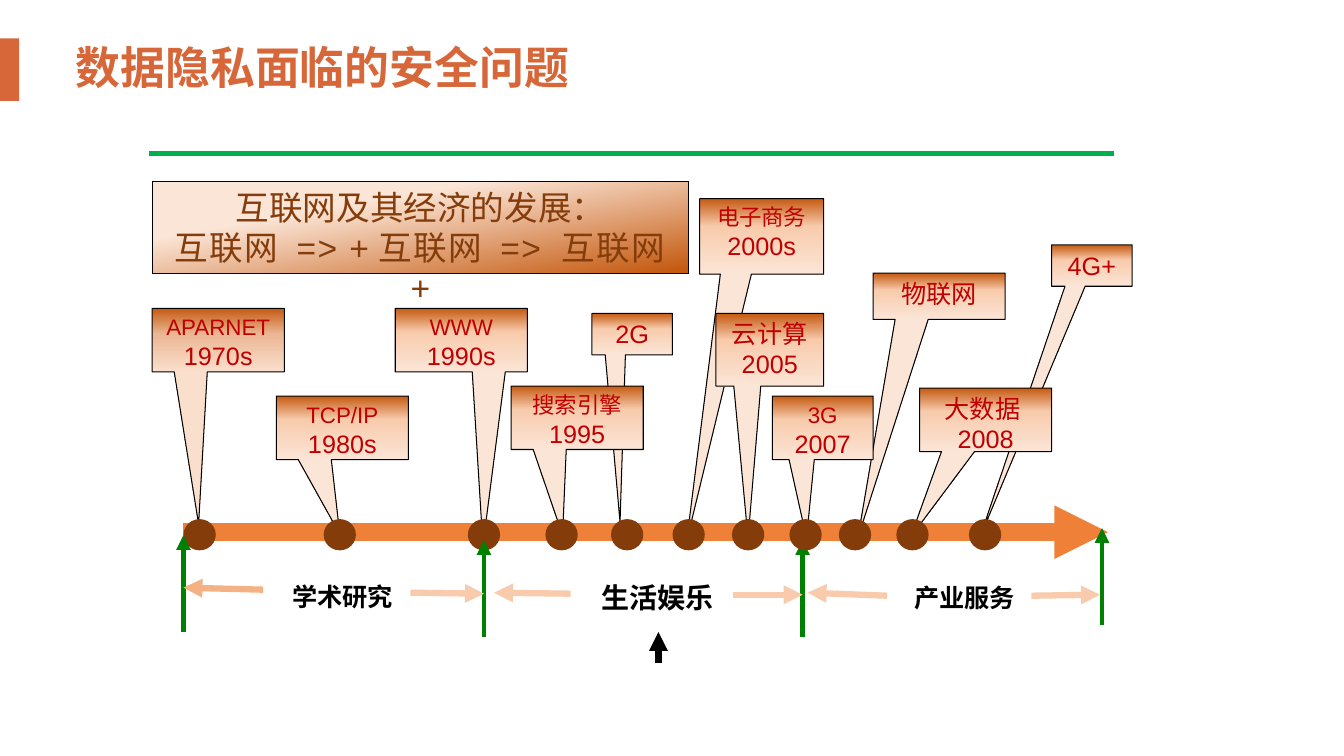
from dataclasses import dataclass

from lxml.etree import SubElement
from pptx import Presentation
from pptx.dml.color import RGBColor
from pptx.enum.shapes import MSO_CONNECTOR, MSO_SHAPE
from pptx.enum.text import MSO_ANCHOR, PP_ALIGN
from pptx.oxml.ns import qn
from pptx.util import Emu, Pt

PX = 9144  # EMU in one px, 100 px to the inch


@dataclass(frozen=True)
class Theme:
    latin: str = "Arial"
    chinese: str = "Noto Sans CJK SC"
    accent: str = "D76739"
    rule: str = "00B050"
    axis: str = "EE8137"
    dot: str = "843C0B"
    boundary: str = "008000"
    span: str = "F8CBAD"
    first_span: str = "F4B183"
    ink: str = "000000"
    callout_ink: str = "C00000"
    callout_fade: tuple = ((0, "C55A11"), (37, "F8CBAD"), (100, "FBE5D6"))
    first_fade: tuple = ((0, "C55A11"), (40, "EAB693"), (100, "FADFCD"))
    banner_fade: tuple = ((0, "FBE5D6"), (31, "FBE5D6"), (98, "C55A11"))
    title: int = 32
    banner: int = 24
    big_label: int = 20
    body: int = 18
    small: int = 16


THEME = Theme()


def px(length):
    return Emu(round(length * PX))


def rgb(value):
    return RGBColor.from_string(value)


def write(frame, lines, *, sizes, color, font, bold=False,
          align=PP_ALIGN.CENTER, wrap=True, tracking=None):
    """Fill a text frame, one paragraph and one size per line."""
    frame.word_wrap = wrap
    frame.vertical_anchor = MSO_ANCHOR.TOP
    for index, (line, size) in enumerate(zip(lines, sizes)):
        paragraph = frame.paragraphs[0] if index == 0 else frame.add_paragraph()
        paragraph.alignment = align
        paragraph.text = line
        for run in paragraph.runs:
            run.font.size = Pt(size)
            run.font.bold = bold
            run.font.name = font
            run.font.color.rgb = rgb(color)
            properties = run.font._element
            SubElement(properties, qn("a:ea"), typeface=THEME.chinese)
            if tracking and index:
                properties.set("spc", str(tracking))


class TimelineSlide:
    def __init__(self, presentation, theme):
        self.theme = theme
        self.shapes = presentation.slides.add_slide(presentation.slide_layouts[6]).shapes

    def block(self, kind, box, color=None):
        shape = self.shapes.add_shape(kind, *map(px, box))
        shape.shadow.inherit = False
        shape.line.fill.background()
        if color:
            shape.fill.solid()
            shape.fill.fore_color.rgb = rgb(color)
        return shape

    def faded_block(self, kind, box, stops, angle, outline):
        """Outlined shape with a gradient; the angle runs clockwise."""
        shape = self.block(kind, box)
        shape.fill.gradient()
        shape.fill.gradient_angle = 360 - angle
        stop_list = shape.element.spPr.find(qn("a:gradFill")).find(qn("a:gsLst"))
        for old_stop in list(stop_list):
            stop_list.remove(old_stop)
        for position, color in stops:
            stop = SubElement(stop_list, qn("a:gs"), pos=str(position * 1000))
            SubElement(stop, qn("a:srgbClr"), val=color)
        shape.line.color.rgb = rgb(self.theme.ink)
        shape.line.width = Pt(outline)
        return shape

    def line(self, start, end, color, width, arrow=True):
        connector = self.shapes.add_connector(
            MSO_CONNECTOR.STRAIGHT, *map(px, (*start, *end)))
        connector.line.color.rgb = rgb(color)
        connector.line.width = Pt(width)
        if arrow:
            SubElement(connector.line._get_or_add_ln(), qn("a:tailEnd"), type="triangle")
        SubElement(connector.element.spPr, qn("a:effectLst"))

    def label(self, box, text, size, color, **options):
        frame = self.shapes.add_textbox(*map(px, box)).text_frame
        write(frame, [text], sizes=[size], color=color,
              font=self.theme.chinese, bold=True, **options)

    def banner(self, box, lines):
        shape = self.faded_block(MSO_SHAPE.RECTANGLE, box, self.theme.banner_fade, 80, 0.5)
        write(shape.text_frame, lines, sizes=[self.theme.banner] * len(lines),
              color=self.theme.dot, font=self.theme.latin, tracking=100)

    def milestone(self, box, tip, dot_left, lines, sizes, fade):
        """Callout whose pointer ends at tip, with its dot on the axis."""
        left, top, width, height = box
        callout = self.faded_block(MSO_SHAPE.RECTANGULAR_CALLOUT, box, fade, 90, 0.75)
        callout.adjustments[0] = (tip[0] - left) / width - 0.5
        callout.adjustments[1] = (tip[1] - top) / height - 0.5
        write(callout.text_frame, lines, sizes=sizes,
              color=self.theme.callout_ink, font=self.theme.latin)
        self.block(MSO_SHAPE.OVAL, (dot_left, 515, 32, 31), self.theme.dot)


SMALL_TOP = (THEME.small, THEME.body)
EVEN = (THEME.body, THEME.body)

# callout box, pointer tip, left of dot, lines, sizes
MILESTONES = (
    ((151, 306, 131, 63), (197, 520), 182, ("APARNET", "1970s"), SMALL_TOP),
    ((274, 393, 131, 63), (337, 530), 321, ("TCP/IP", "1980s"), SMALL_TOP),
    ((392, 306, 131, 63), (479, 541), 464, ("WWW", "1990s"), SMALL_TOP),
    ((587, 311, 80, 41), (615, 518), 606, ("2G",), EVEN),
    ((694, 197, 123, 75), (681, 537), 667, ("电子商务", "2000s"), SMALL_TOP),
    ((866, 271, 131, 46), (851, 533), 832, ("物联网",), EVEN),
    ((766, 393, 100, 63), (800, 534), 783, ("3G", "2007"), SMALL_TOP),
    ((1043, 243, 80, 41), (972, 533), 961, ("4G+",), EVEN),
    ((912, 385, 131, 63), (903, 533), 889, ("大数据2008",), EVEN),
    ((710, 311, 107, 72), (742, 534), 726, ("云计算", "2005"), EVEN),
    ((507, 383, 131, 63), (558, 531), 541, ("搜索引擎", "1995"), SMALL_TOP),
)

# bottom and top of the arrows that part the eras
BOUNDARIES = ((182, 627, 531), (480, 632, 536), (796, 632, 536), (1093, 620, 524))

# label box, name, size, left arrow, right arrow, colour of left arrow
ERAS = (
    ((280, 572, 122, 40), "学术研究", THEME.body,
     ((261, 585), (182, 583)), ((407, 588), (480, 589)), THEME.first_span),
    ((587, 571, 133, 44), "生活娱乐", THEME.big_label,
     ((566, 589), (490, 588)), ((727, 590), (796, 590)), THEME.span),
    ((897, 573, 122, 40), "产业服务", THEME.body,
     ((880, 591), (801, 588)), ((1023, 591), (1091, 590)), THEME.span),
)


def main():
    presentation = Presentation()
    presentation.slide_width, presentation.slide_height = px(1333), px(750)
    slide = TimelineSlide(presentation, THEME)

    slide.block(MSO_SHAPE.RECTANGLE, (0, 38, 19, 62), THEME.accent)
    slide.label((2, 34, 636, 64), "数据隐私面临的安全问题", THEME.title, THEME.accent)
    slide.line((148, 152), (1105, 152), THEME.rule, 3.5, arrow=False)
    slide.line((182, 528), (1099, 528), THEME.axis, 12.75)
    slide.banner((151, 180, 532, 91),
                 ("互联网及其经济的发展：", "互联网 => +互联网 => 互联网\v+"))

    for index, milestone in enumerate(MILESTONES):
        if index == 3:
            for x, bottom, top in BOUNDARIES:
                slide.line((x, bottom), (x, top), THEME.boundary, 3.5)
        fade = THEME.callout_fade if index else THEME.first_fade
        slide.milestone(*milestone, fade)

    for box, name, size, left_arrow, right_arrow, left_color in ERAS:
        slide.line(*left_arrow, left_color, 4.5)
        slide.line(*right_arrow, THEME.span, 4.5)
        slide.label(box, name, size, THEME.ink, align=PP_ALIGN.LEFT, wrap=False)
    slide.line((653, 658), (653, 627), THEME.ink, 4.5)

    presentation.save("out.pptx")


if __name__ == "__main__":
    main()
